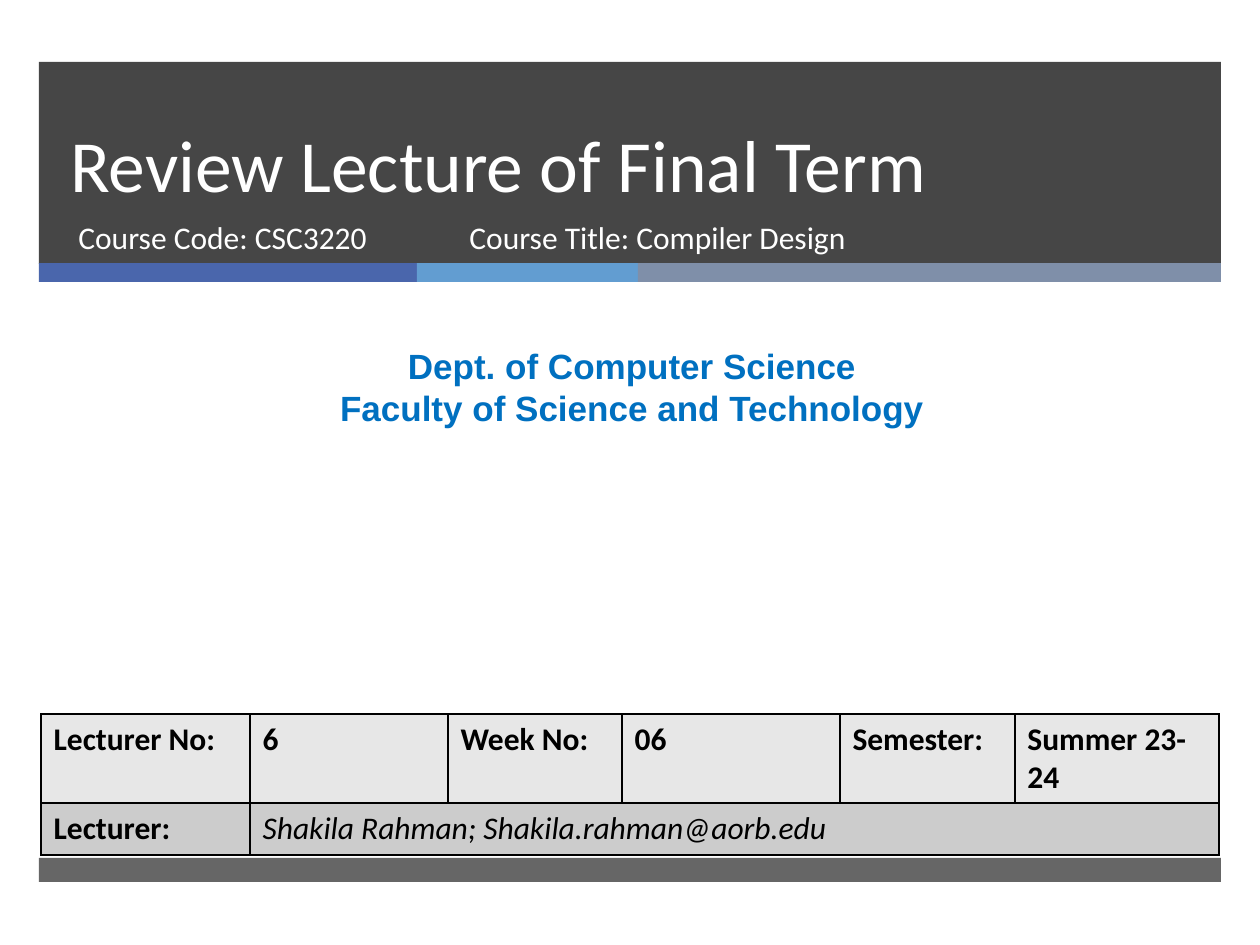
from typing import NamedTuple, Optional

from lxml.etree import SubElement
from pptx import Presentation
from pptx.dml.color import RGBColor
from pptx.enum.shapes import MSO_SHAPE
from pptx.enum.text import MSO_ANCHOR, PP_ALIGN
from pptx.oxml import parse_xml
from pptx.oxml.ns import nsdecls, qn
from pptx.util import Emu, Pt

PX_PER_INCH = 126
COLORS = {
    "dark": "262626", "blue": "4A66AC", "sky": "629DD1", "slate": "7F8FA9",
    "white": "FFFFFF", "black": "000000", "department": "0070C0",
    "light_row": "E7E7E7", "dark_row": "CCCCCC",
}


class Band(NamedTuple):
    left: int
    top: int
    width: int
    height: int
    color: str
    opacity: int = 100


class Label(NamedTuple):
    left: int
    top: int
    width: int
    height: int
    lines: list[str]
    size: int
    color: str = "white"
    font: str = "Calibri"
    bold: bool = False
    align: PP_ALIGN = PP_ALIGN.LEFT
    anchor: MSO_ANCHOR = MSO_ANCHOR.TOP
    spacing: Optional[int] = None


def px(length: int) -> Emu:
    return Emu(round(length * 914400 / PX_PER_INCH))


def rgb(color: str) -> RGBColor:
    return RGBColor.from_string(COLORS[color])


def add_run(paragraph, text: str, size: int, color: str, font: str = "Calibri",
            bold: bool = False, italic: bool = False) -> None:
    run = paragraph.add_run()
    run.text = text
    run.font.size = Pt(size)
    run.font.name = font
    run.font.bold = bold
    run.font.italic = italic
    run.font.color.rgb = rgb(color)


def draw_band(slide, band: Band) -> None:
    bar = slide.shapes.add_shape(MSO_SHAPE.RECTANGLE, *map(px, band[:4]))
    bar.shadow.inherit = False
    bar.line.fill.background()
    bar.fill.solid()
    bar.fill.fore_color.rgb = rgb(band.color)
    if band.opacity < 100:
        tint = bar.fill._xPr.find(qn("a:solidFill"))[0]
        SubElement(tint, qn("a:alpha")).set("val", str(band.opacity * 1000))


def draw_label(slide, label: Label) -> None:
    frame = slide.shapes.add_textbox(*map(px, label[:4])).text_frame
    frame.word_wrap = True
    frame.vertical_anchor = label.anchor
    for index, line in enumerate(label.lines):
        paragraph = frame.add_paragraph() if index else frame.paragraphs[0]
        paragraph.alignment = label.align
        if label.spacing:
            paragraph.line_spacing = Pt(label.spacing)
        add_run(paragraph, line, label.size, label.color, label.font, label.bold)


def style_cell(cell, color: str) -> None:
    cell.fill.solid()
    cell.fill.fore_color.rgb = rgb(color)
    properties = cell._tc.get_or_add_tcPr()
    for index, side in enumerate(("lnL", "lnR", "lnT", "lnB")):
        properties.insert(index, parse_xml(
            f'<a:{side} {nsdecls("a")} w="12700"><a:solidFill>'
            f'<a:srgbClr val="{COLORS["black"]}"/></a:solidFill></a:{side}>'))


def draw_lecture_table(slide, left: int, top: int, columns: list[int],
                       rows: list[int], texts: list[list[str]]) -> None:
    table = slide.shapes.add_table(
        len(rows), len(columns), px(left), px(top),
        px(sum(columns)), px(sum(rows))).table
    for column, width in zip(table.columns, columns):
        column.width = px(width)
    for row, height, color in zip(table.rows, rows, ("light_row", "dark_row")):
        row.height = px(height)
        for cell in row.cells:
            style_cell(cell, color)
    table.cell(1, 1).merge(table.cell(1, len(columns) - 1))
    for r, row_texts in enumerate(texts):
        for c, text in enumerate(row_texts):
            lecturer_name = (r, c) == (1, 1)
            add_run(table.cell(r, c).text_frame.paragraphs[0], text, 18, "black",
                    bold=not lecturer_name, italic=lecturer_name)


BANDS = [
    Band(39, 62, 1182, 202, "dark", 85),
    Band(39, 263, 378, 19, "blue"),
    Band(417, 263, 221, 19, "sky"),
    Band(638, 263, 583, 19, "slate"),
    Band(39, 858, 1182, 24, "dark", 70),
]
LABELS = [
    Label(58, 63, 1076, 150, ["Review Lecture of Final Term"], 42,
          anchor=MSO_ANCHOR.BOTTOM, spacing=46),
    Label(66, 212, 384, 67, ["Course Code: CSC3220"], 18),
    Label(457, 212, 573, 67, ["Course Title: Compiler Design"], 18),
    Label(10, 338, 1244, 97,
          ["Dept. of Computer Science", "Faculty of Science and Technology"],
          20, "department", "Arial", True, PP_ALIGN.CENTER),
]
LECTURE_DETAILS = [
    ["Lecturer No:", "6", "Week No:", "06", "Semester:", "Summer 23-24"],
    ["Lecturer:", "Shakila Rahman; Shakila.rahman@aorb.edu"],
]


def main() -> None:
    deck = Presentation()
    deck.slide_width, deck.slide_height = px(1260), px(945)
    slide = deck.slides.add_slide(deck.slide_layouts[6])

    # Header and footer bands
    for band in BANDS:
        draw_band(slide, band)

    # Title, course and department
    for label in LABELS:
        draw_label(slide, label)

    # Lecture details
    draw_lecture_table(slide, 41, 714, [209, 198, 174, 218, 175, 204],
                       [89, 52], LECTURE_DETAILS)

    deck.save("out.pptx")


if __name__ == "__main__":
    main()
